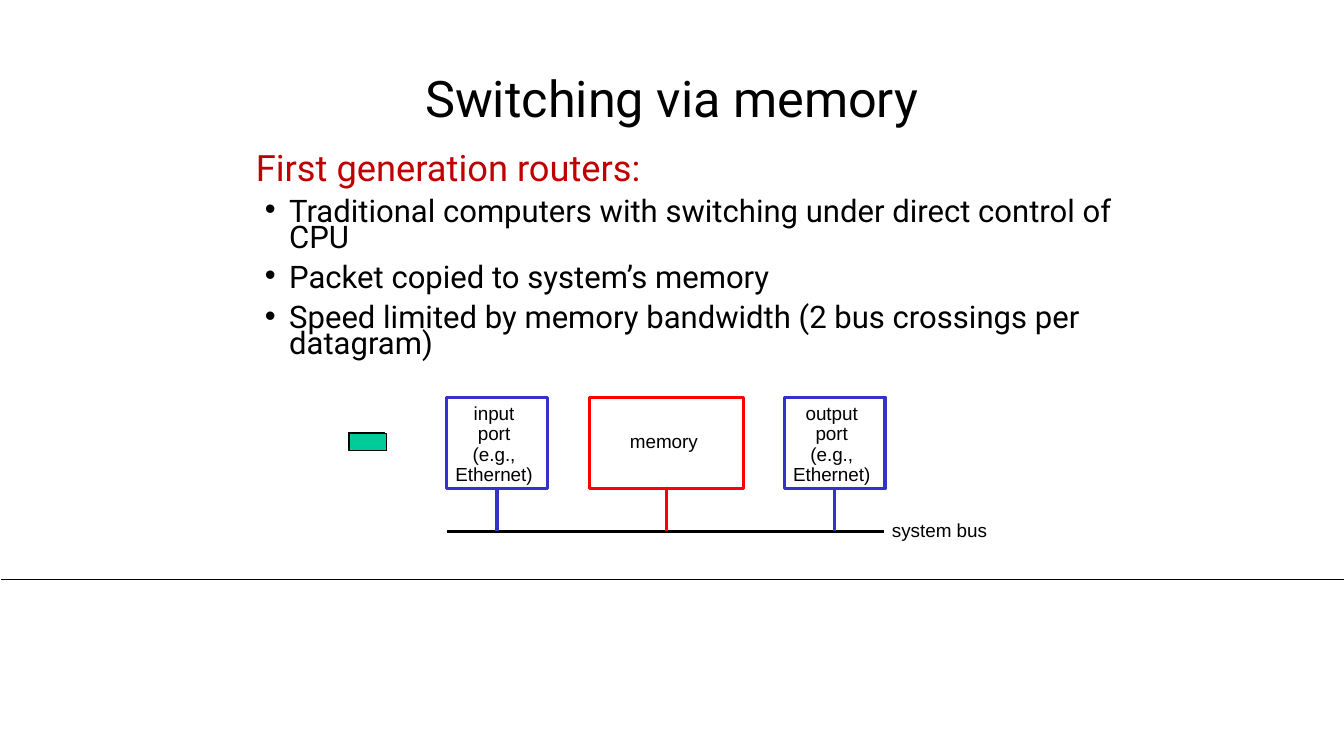
from dataclasses import dataclass
from lxml.etree import SubElement
from pptx import Presentation
from pptx.dml.color import RGBColor as RGB
from pptx.enum.shapes import MSO_CONNECTOR as LINE, MSO_SHAPE as SHAPE
from pptx.enum.text import MSO_ANCHOR as ANCHOR, PP_ALIGN as ALIGN
from pptx.oxml.ns import qn
from pptx.util import Pt


@dataclass(frozen=True)
class Theme:
    black: RGB = RGB(0, 0, 0)
    white: RGB = RGB(255, 255, 255)
    heading: RGB = RGB(0xC0, 0, 0)
    port: RGB = RGB(0x33, 0x33, 0xCC)
    memory: RGB = RGB(255, 0, 0)
    packet: RGB = RGB(0, 0xCC, 0x99)
    text_font: str = "Roboto"
    label_font: str = "Arial"
    title_size: float = 36
    heading_size: float = 25.9
    bullet_size: float = 22.2
    label_size: float = 13.5


theme = Theme()


def write(text, *, paragraph, size, font, color=theme.black, align=ALIGN.LEFT,
          spacing=0.9, before=0, indent=0, hanging=0, bullet=None):
    paragraph.alignment = align
    paragraph.line_spacing = spacing
    paragraph.space_before = Pt(before)
    properties = paragraph._p.get_or_add_pPr()
    properties.set("marL", str(Pt(indent)))
    properties.set("indent", str(-Pt(hanging)))
    if bullet:
        SubElement(properties, qn("a:buFont")).set("typeface", theme.label_font)
        SubElement(properties, qn("a:buChar")).set("char", bullet)
    run = paragraph.add_run()
    run.text = text
    run.font.name = font
    run.font.size = Pt(size)
    run.font.color.rgb = color


def draw_line(x1, y1, x2, y2, color, weight):
    line = slide.shapes.add_connector(LINE.STRAIGHT, Pt(x1), Pt(y1), Pt(x2), Pt(y2))
    line.line.color.rgb = color
    line.line.width = Pt(weight)
    SubElement(line._element.spPr, qn("a:effectLst"))
    return line


prs = Presentation()
prs.slide_width, prs.slide_height = Pt(960), Pt(540)
slide = prs.slides.add_slide(prs.slide_layouts[5])

draw_line(0.7, 414, 960, 414, theme.black, 0.5)

title = slide.shapes.title
title.left, title.top, title.width, title.height = Pt(66), Pt(28.8), Pt(828), Pt(86.4)
title.text_frame.vertical_anchor = ANCHOR.MIDDLE
write("Switching via memory", paragraph=title.text_frame.paragraphs[0],
      size=theme.title_size, font=theme.text_font, align=ALIGN.CENTER)

body = slide.shapes.add_textbox(Pt(175.7), Pt(108.7), Pt(666.7), Pt(163.4)).text_frame
body.word_wrap = True
write("First generation routers:", paragraph=body.paragraphs[0], size=theme.heading_size,
      font=theme.text_font, color=theme.heading, spacing=0.7, indent=13.5, hanging=13.5)
for point in [
    "Traditional computers with switching under direct control of CPU",
    "Packet copied to system’s memory",
    "Speed limited by memory bandwidth (2 bus crossings per datagram)",
]:
    write(point, paragraph=body.add_paragraph(), size=theme.bullet_size,
          font=theme.text_font, spacing=0.7, before=10, indent=23.8, hanging=17.3, bullet="•")

bus_y = 379.5
draw_line(319, bus_y, 631.5, bus_y, theme.black, 2.25)

port_lines = ["port", "(e.g.,", "Ethernet)"]
labels = [(["system bus"], 630, 367.2, 83.5, 23.8, ALIGN.LEFT)]
for lines, left, width, color, label_top, label_width, label_height in [
    (["input", *port_lines], 319, 72, theme.port, 285.1, 70.6, 66.2),
    (["memory"], 421.2, 110.2, theme.memory, 305.3, 64.1, 22.3),
    (["output", *port_lines], 560.2, 72, theme.port, 285.1, 70.6, 66.2),
]:
    unit = slide.shapes.add_shape(SHAPE.RECTANGLE, Pt(left), Pt(283.7), Pt(width), Pt(65.5))
    unit.shadow.inherit = False
    unit.fill.solid()
    unit.fill.fore_color.rgb = theme.white
    unit.line.color.rgb = color
    unit.line.width = Pt(2.25)
    center = left + width / 2
    bus_link = draw_line(center, 349.2, center, bus_y, color, 2.25)
    bus_link.begin_connect(unit, 2)
    labels.append((lines, center - 2.1 - label_width / 2, label_top,
                   label_width, label_height, ALIGN.CENTER))

for lines, left, top, width, height, align in labels:
    label = slide.shapes.add_textbox(Pt(left), Pt(top), Pt(width), Pt(height)).text_frame
    label.word_wrap = False
    for number, line in enumerate(lines):
        write(line, paragraph=label.add_paragraph() if number else label.paragraphs[0],
              size=theme.label_size, font=theme.label_font, align=align,
              spacing=0.9 if align == ALIGN.CENTER else 1)

for left, top, width, height in [(249.1, 308.9, 25.9, 13), (249.8, 309.6, 26.6, 12.2)]:
    packet = slide.shapes.add_shape(SHAPE.RECTANGLE, Pt(left), Pt(top), Pt(width), Pt(height))
    packet.shadow.inherit = False
    packet.fill.solid()
    packet.fill.fore_color.rgb = theme.packet
    packet.line.color.rgb = theme.black
    packet.line.width = Pt(0.75)

prs.save("out.pptx")
